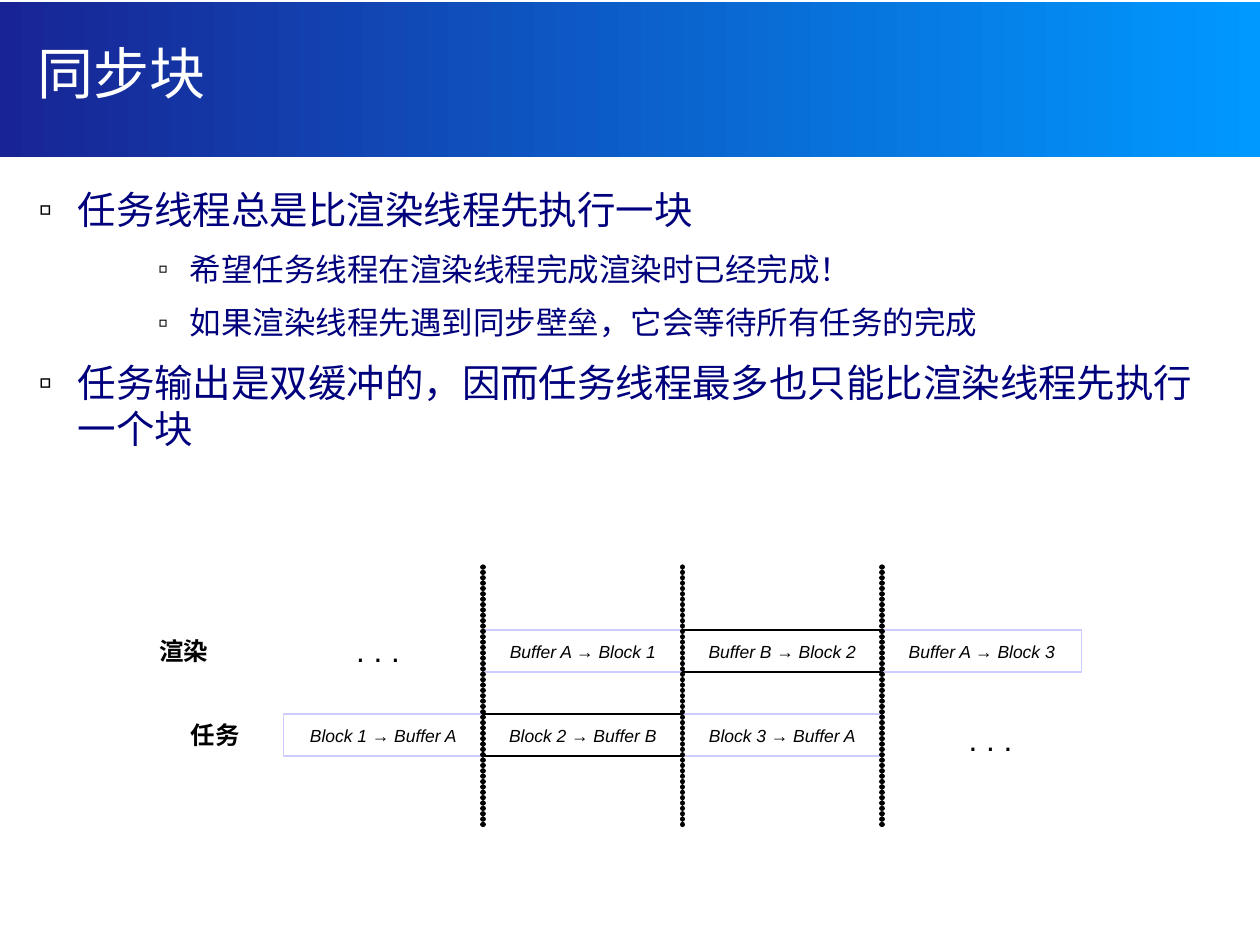
"""Build the slide on synchronisation blocks with its render and task timeline."""
from lxml import etree
from pptx import Presentation
from pptx.dml.color import RGBColor
from pptx.enum import shapes, text
from pptx.oxml import ns
from pptx.util import Pt

NAVY = RGBColor(0x18, 0x24, 0x94)
SKY = RGBColor(0x00, 0x99, 0xFF)
INK = RGBColor(0x00, 0x00, 0x7D)
LAVENDER = RGBColor(0xCC, 0xCC, 0xFF)
BLACK = RGBColor(0, 0, 0)
WHITE = RGBColor(0xFF, 0xFF, 0xFF)

TITLE = "同步块"
BULLETS = [
    (0, "任务线程总是比渲染线程先执行一块"),
    (1, "希望任务线程在渲染线程完成渲染时已经完成！"),
    (1, "如果渲染线程先遇到同步壁垒，它会等待所有任务的完成"),
    (0, "任务输出是双缓冲的，因而任务线程最多也只能比渲染线程先执行一个块"),
]
LEVELS = [
    dict(size=22, left=25.7, hang=22.3, gap=5.5, bullet=100),
    dict(size=18, left=89.7, hang=18, gap=4.5, bullet=90),
]
BLOCKS = [
    (1, 0, "Buffer A → Block 1", LAVENDER),
    (2, 0, "Buffer B → Block 2", BLACK),
    (3, 0, "Buffer A → Block 3", LAVENDER),
    (0, 1, "Block 1 → Buffer A", LAVENDER),
    (1, 1, "Block 2 → Buffer B", BLACK),
    (2, 1, "Block 3 → Buffer A", LAVENDER),
]
LABELS = [
    (84, 360, 50, 24.5, "渲染", 14, True),
    (102, 408, 50, 24.5, "任务", 14, True),
    (196.5, 357, 50, 29, ". . .", 18, False),
    (546.5, 408, 50, 29, ". . .", 18, False),
]
GRID_LEFT, GRID_TOP = 162, 360
BLOCK_WIDTH, BLOCK_HEIGHT, ROW_STEP = 114, 24, 48
BARRIER_TOP, BARRIER_BOTTOM = 324, 474
DOT_LENGTH, DOT_GAP = 100000, 2000


def apply(target, **values):
    for name, value in values.items():
        setattr(target, name, value)


def set_frame(box, margins, wrap, anchor=text.MSO_ANCHOR.TOP):
    left, top, right, bottom = map(Pt, margins)
    apply(box.text_frame, margin_left=left, margin_top=top, margin_right=right,
          margin_bottom=bottom, word_wrap=wrap, vertical_anchor=anchor)
    return box.text_frame


def write(para, words, size, color, font="Arial", **style):
    span = para.add_run()
    span.text = words
    apply(span.font, size=Pt(size), name=font, **style)
    span.font.color.rgb = color


def add_banner(page):
    banner = page.shapes.add_shape(shapes.MSO_SHAPE.RECTANGLE, 0, Pt(1), Pt(720), Pt(88.5))
    banner.shadow.inherit = False
    banner.line.fill.background()
    banner.fill.gradient()
    banner.fill.gradient_angle = 0
    for stop, color, position in zip(banner.fill.gradient_stops, (NAVY, SKY), (0, 1)):
        stop.color.rgb = color
        stop.position = position


def add_title(page):
    box = page.shapes.add_textbox(Pt(14.5), 0, Pt(689), Pt(83))
    frame = set_frame(box, (7.2, 3, 7.2, 3.6), True, text.MSO_ANCHOR.MIDDLE)
    write(frame.paragraphs[0], TITLE, 32, WHITE, "DejaVu Sans")


def add_bullet(para, level):
    props = para._p.get_or_add_pPr()
    props.set("marL", str(Pt(level["left"])))
    props.set("indent", str(-Pt(level["hang"])))
    color = etree.SubElement(props, ns.qn("a:buClr"))
    etree.SubElement(color, ns.qn("a:srgbClr"), val=str(BLACK))
    etree.SubElement(props, ns.qn("a:buSzPct"), val=str(level["bullet"] * 1000))
    etree.SubElement(props, ns.qn("a:buFont"), typeface="Arial")
    etree.SubElement(props, ns.qn("a:buChar"), char="▫")


def add_body(page):
    box = page.shapes.add_textbox(Pt(14.4), Pt(105.7), Pt(689), Pt(396.5))
    frame = set_frame(box, (4.3, 0.7, 2.9, 3.6), True)
    for index, (depth, words) in enumerate(BULLETS):
        level = LEVELS[depth]
        para = frame.add_paragraph() if index else frame.paragraphs[0]
        add_bullet(para, level)
        apply(para, level=depth, space_after=Pt(level["gap"]))
        if index:
            para.space_before = Pt(level["gap"])
        write(para, words, level["size"], INK, "DejaVu Sans")


def add_block(page, column, row, words, edge):
    block = page.shapes.add_shape(
        shapes.MSO_SHAPE.RECTANGLE, Pt(GRID_LEFT + column * BLOCK_WIDTH),
        Pt(GRID_TOP + row * ROW_STEP), Pt(BLOCK_WIDTH), Pt(BLOCK_HEIGHT))
    block.shadow.inherit = False
    block.fill.solid()
    block.fill.fore_color.rgb = WHITE
    block.line.color.rgb = edge
    block.line.width = Pt(0.75)
    frame = set_frame(block, (7.2, 3.6, 7.2, 3.6), False, text.MSO_ANCHOR.MIDDLE)
    frame.paragraphs[0].alignment = text.PP_ALIGN.CENTER
    write(frame.paragraphs[0], words, 10, BLACK, italic=True)


def add_label(page, left, top, width, height, words, size, bold):
    box = page.shapes.add_textbox(Pt(left), Pt(top), Pt(width), Pt(height))
    frame = set_frame(box, (7.2, 3.6, 0, 3.6), True)
    write(frame.paragraphs[0], words, size, BLACK, bold=bold)


def add_barrier(page, column):
    x = Pt(GRID_LEFT + column * BLOCK_WIDTH)
    barrier = page.shapes.add_connector(
        shapes.MSO_CONNECTOR.STRAIGHT, x, Pt(BARRIER_TOP), x, Pt(BARRIER_BOTTOM))
    barrier.line.color.rgb = BLACK
    barrier.line.width = Pt(3)
    stroke = barrier.line._get_or_add_ln()
    stroke.set("cap", "rnd")
    dots = etree.SubElement(stroke, ns.qn("a:custDash"))
    etree.SubElement(dots, ns.qn("a:ds"), d=str(DOT_LENGTH), sp=str(DOT_GAP))
    etree.SubElement(barrier._element.spPr, ns.qn("a:effectLst"))


def main():
    deck = Presentation()
    apply(deck, slide_width=Pt(720), slide_height=Pt(540))
    page = deck.slides.add_slide(deck.slide_layouts[6])
    add_banner(page)
    add_title(page)
    add_body(page)
    for block in BLOCKS:
        add_block(page, *block)
    for label in LABELS:
        add_label(page, *label)
    for column in (1, 2, 3):
        add_barrier(page, column)
    deck.save("out.pptx")


if __name__ == "__main__":
    main()
